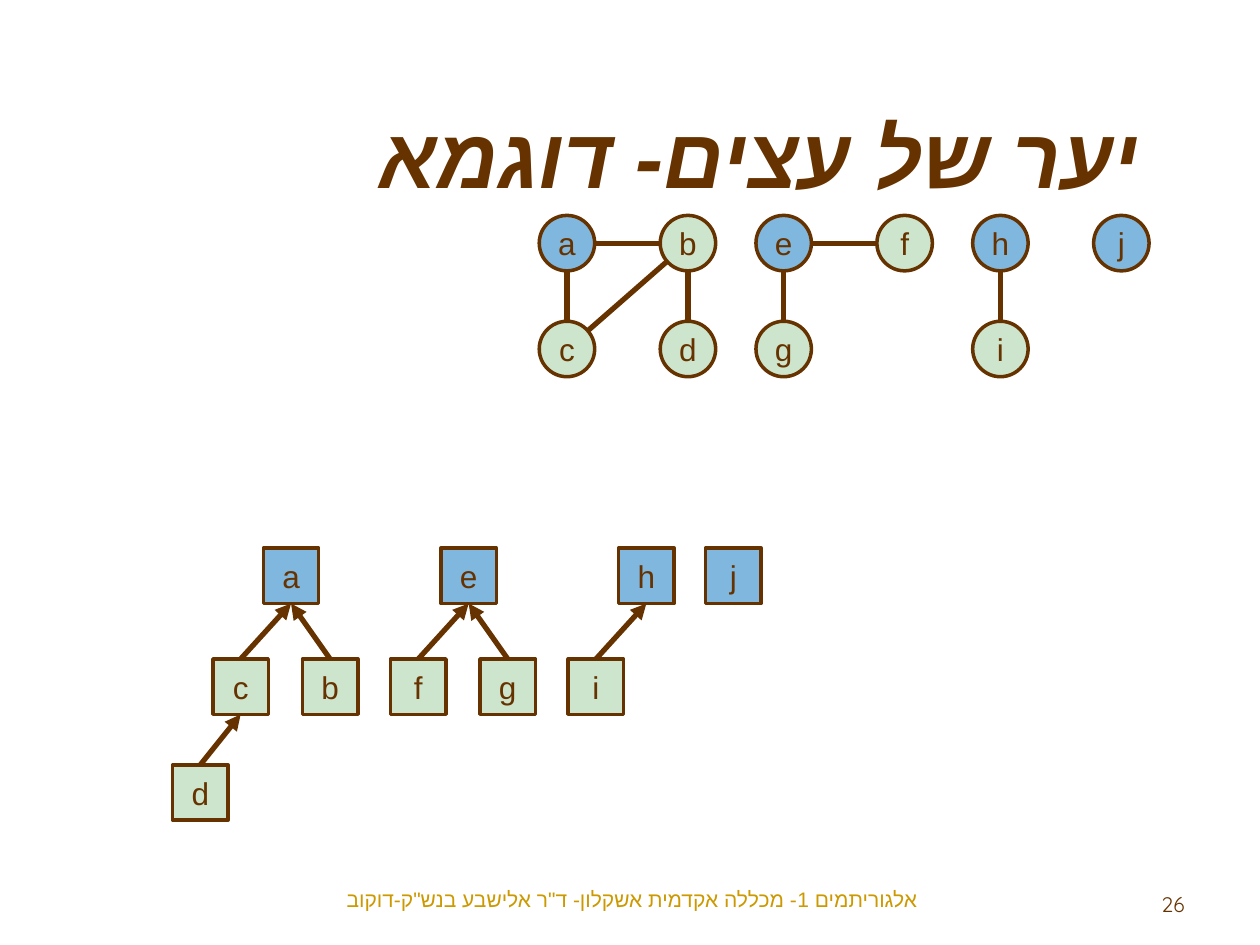
from dataclasses import dataclass
from math import hypot

from lxml.etree import SubElement
from pptx import Presentation
from pptx.dml.color import RGBColor
from pptx.enum.shapes import MSO_CONNECTOR, MSO_SHAPE
from pptx.enum.text import MSO_ANCHOR, PP_ALIGN
from pptx.oxml.ns import qn
from pptx.util import Inches, Pt

BROWN, GOLD = "663300", "CC9900"
NODE_SIZE = 0.44
RADIUS = NODE_SIZE / 2


@dataclass
class Node:
    name: str
    left: float
    top: float
    is_root: bool = False

    @property
    def center(self) -> tuple[float, float]:
        return self.left + RADIUS, self.top + RADIUS


def color(value: str) -> RGBColor:
    return RGBColor.from_string(value)


def style_paragraph(paragraph, text: str, size: int, alignment, font_color: str = BROWN,
                    font_name: str = "Arial", right_to_left: bool = False) -> None:
    paragraph.text = text
    paragraph.alignment = alignment
    font = paragraph.font
    font.size, font.name = Pt(size), font_name
    font.color.rgb = color(font_color)
    if right_to_left:
        properties = paragraph._p.get_or_add_pPr()
        properties.set("rtl", "1")
        SubElement(properties.find(qn("a:defRPr")), qn("a:cs"), typeface=font_name)


def add_text(shapes, box: tuple[float, float, float, float], *args, **options):
    text_box = shapes.add_textbox(*map(Inches, box))
    text_box.text_frame.word_wrap = True
    paragraph = text_box.text_frame.paragraphs[0]
    style_paragraph(paragraph, *args, **options)
    return text_box


def add_node(shapes, node: Node, preset) -> None:
    shape = shapes.add_shape(preset, Inches(node.left), Inches(node.top),
                             Inches(NODE_SIZE), Inches(NODE_SIZE))
    shape.shadow.inherit = False
    shape.fill.solid()
    shape.fill.fore_color.rgb = color("0070C0" if node.is_root else "008000")
    fill_color = shape._element.spPr.find(qn("a:solidFill"))[0]
    SubElement(fill_color, qn("a:alpha"), val="50000" if node.is_root else "20000")
    shape.line.color.rgb = color(BROWN)
    shape.line.width = Pt(2)
    frame = shape.text_frame
    frame.margin_left = frame.margin_right = frame.margin_top = frame.margin_bottom = 0
    frame.vertical_anchor = MSO_ANCHOR.MIDDLE
    style_paragraph(frame.paragraphs[0], node.name, 18, PP_ALIGN.CENTER)


def add_line(shapes, start: tuple[float, float], end: tuple[float, float],
             arrow: bool = False) -> None:
    connector = shapes.add_connector(MSO_CONNECTOR.STRAIGHT, *map(Inches, start + end))
    connector.line.color.rgb = color(BROWN)
    connector.line.width = Pt(3)
    if arrow:
        SubElement(connector.line._get_or_add_ln(), qn("a:tailEnd"), type="triangle")
    SubElement(connector._element.spPr, qn("a:effectLst"))


def add_graph_edge(shapes, first: Node, second: Node) -> None:
    """Join two circles from rim to rim."""
    (x1, y1), (x2, y2) = first.center, second.center
    scale = RADIUS / hypot(x2 - x1, y2 - y1)
    dx, dy = (x2 - x1) * scale, (y2 - y1) * scale
    add_line(shapes, (x1 + dx, y1 + dy), (x2 - dx, y2 - dy))


def add_parent_arrow(shapes, child: Node, parent: Node) -> None:
    """Point from the top of a child to the bottom of its parent."""
    add_line(shapes, (child.center[0], child.top),
             (parent.center[0], parent.top + NODE_SIZE), arrow=True)


def add_diagram(shapes, nodes: list[Node], edges: str, preset, add_edge) -> None:
    group = shapes.add_group_shape()
    by_name = {node.name: node for node in nodes}
    for node in nodes:
        add_node(group.shapes, node, preset)
    for first, second in edges.split():
        add_edge(group.shapes, by_name[first], by_name[second])


presentation = Presentation()
presentation.slide_width, presentation.slide_height = Inches(10), Inches(7.5)
slide = presentation.slides.add_slide(presentation.slide_layouts[6])

# Graph: two rows of circles, components evenly spaced
GRAPH_LEFT, COMPONENT_STEP, COLUMN_STEP = 4.28, 1.72, 0.96
GRAPH_ROWS = (1.71, 2.55)
graph_rows = (("ab", "ef", "hj"), ("cd", "g", "i"))
graph_nodes = [
    Node(name, GRAPH_LEFT + component * COMPONENT_STEP + column * COLUMN_STEP, top, name in "aehj")
    for top, row in zip(GRAPH_ROWS, graph_rows)
    for component, names in enumerate(row)
    for column, name in enumerate(names)
]
add_diagram(slide.shapes, graph_nodes, "ab ac cb bd ef eg hi", MSO_SHAPE.OVAL, add_graph_edge)

# Title, slide number and footer
title = add_text(slide.shapes, (1.09, 0.78, 8.05, 0.91), "יער של עצים- דוגמא", 48,
                 PP_ALIGN.RIGHT, right_to_left=True)
title_font = title.text_frame.paragraphs[0].font
title_font.bold = title_font.italic = True
add_text(slide.shapes, (7.17, 7.03, 2.33, 0.35), "26", 12, PP_ALIGN.RIGHT,
         font_name="Quicksand")
add_text(slide.shapes, (2.26, 6.99, 5.51, 0.31),
         'אלגוריתמים 1- מכללה אקדמית אשקלון- ד"ר אלישבע בנש"ק-דוקוב', 12,
         PP_ALIGN.CENTER, font_color=GOLD, right_to_left=True)

# Forest: each tree hangs from its root, with arrows to the parent
ROOT_TOP, CHILD_TOP, LEAF_TOP = 4.35, 5.23, 6.07
LEFT_OFFSET, RIGHT_OFFSET, LEAF_OFFSET = -0.4, 0.31, -0.72
trees = (("a", "c", "b", "d", 2.09), ("e", "f", "g", "", 3.5), ("h", "i", "", "", 4.91))
for root, left_child, right_child, leaf, left in trees:
    places = ((root, 0, ROOT_TOP), (left_child, LEFT_OFFSET, CHILD_TOP),
              (right_child, RIGHT_OFFSET, CHILD_TOP), (leaf, LEAF_OFFSET, LEAF_TOP))
    tree_nodes = [Node(name, left + offset, top, name == root)
                  for name, offset, top in places if name]
    arrows = [child + root for child in (left_child, right_child) if child]
    if leaf:
        arrows.append(leaf + left_child)
    add_diagram(slide.shapes, tree_nodes, " ".join(arrows), MSO_SHAPE.RECTANGLE, add_parent_arrow)
add_node(slide.shapes, Node("j", 5.6, ROOT_TOP, True), MSO_SHAPE.RECTANGLE)

presentation.save("out.pptx")
